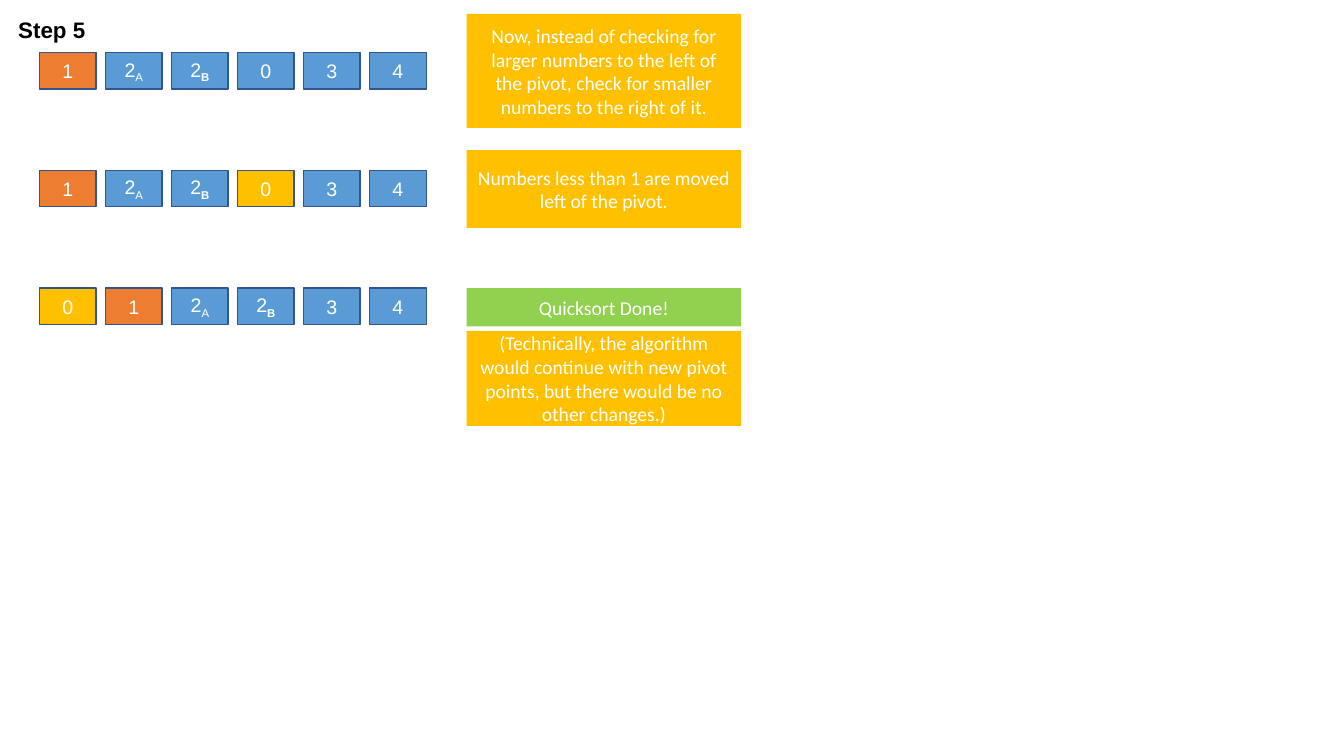
import dataclasses

import pptx
import pptx.dml.color
import pptx.enum.shapes
import pptx.enum.text
import pptx.util

Pt = pptx.util.Pt


@dataclasses.dataclass(frozen=True)
class Theme:
    ink: str = "000000"
    light: str = "FFFFFF"
    number: str = "5B9BD5"
    pivot: str = "ED7D31"
    notice: str = "FFC000"
    done: str = "92D050"
    edge: str = "325491"
    heading_font: str = "Arial"
    note_font: str = "Calibri"
    heading_size: float = 16
    text_size: float = 14


def rgb(value):
    return pptx.dml.color.RGBColor.from_string(value)


def write(para, text, *, font, size, color, bold=False, subscript=False):
    span = para.add_run()
    span.text = text
    span.font.name = font
    span.font.size = Pt(size)
    span.font.bold = bold
    span.font.color.rgb = rgb(color)
    if subscript:
        span.font._element.set("baseline", "-25000")


class StepSlide:
    def __init__(self, deck, theme):
        self.theme = theme
        self.page = deck.slides.add_slide(deck.slide_layouts[5])

    def title(self, text, left, top, width, height):
        box = self.page.shapes.title
        box.left, box.top, box.width, box.height = map(Pt, (left, top, width, height))
        frame = box.text_frame
        frame.word_wrap = False
        frame.auto_size = pptx.enum.text.MSO_AUTO_SIZE.SHAPE_TO_FIT_TEXT
        frame.vertical_anchor = pptx.enum.text.MSO_ANCHOR.TOP
        para = frame.paragraphs[0]
        para.alignment = pptx.enum.text.PP_ALIGN.LEFT
        write(para, text, font=self.theme.heading_font, size=self.theme.heading_size,
              color=self.theme.ink, bold=True)

    def block(self, left, top, width, height, fill, edge=None):
        box = self.page.shapes.add_shape(
            pptx.enum.shapes.MSO_SHAPE.RECTANGLE, *map(Pt, (left, top, width, height)))
        box.shadow.inherit = False
        box.fill.solid()
        box.fill.fore_color.rgb = rgb(fill)
        if edge:
            box.line.color.rgb = rgb(edge)
            box.line.width = Pt(1)
        else:
            box.line.fill.background()
        frame = box.text_frame
        frame.word_wrap = True
        frame.vertical_anchor = pptx.enum.text.MSO_ANCHOR.MIDDLE
        para = frame.paragraphs[0]
        para.alignment = pptx.enum.text.PP_ALIGN.CENTER
        return para

    def cell(self, label, left, top, fill):
        style = dict(font=self.theme.heading_font, size=self.theme.text_size,
                     color=self.theme.light)
        para = self.block(left, top, 40.5, 26, fill, self.theme.edge)
        digit, tag = label[0], label[1:]
        write(para, digit, **style)
        if tag:
            write(para, tag, bold=tag == "B", subscript=True, **style)

    def row(self, labels, top, highlights):
        for column, label in enumerate(labels):
            fill = highlights.get(label, self.theme.number)
            self.cell(label, 28.2 + 47.15 * column, top, fill)

    def note(self, text, top, height, fill):
        para = self.block(333.4, top, 196, height, fill)
        write(para, text, font=self.theme.note_font, size=self.theme.text_size,
              color=self.theme.light)


def main():
    deck = pptx.Presentation()
    deck.slide_width, deck.slide_height = Pt(960), Pt(540)
    theme = Theme()
    slide = StepSlide(deck, theme)
    slide.title("Step 5", 5.8, 7.9, 63.4, 26.6)

    start = ["1", "2A", "2B", "0", "3", "4"]
    finish = ["0", "1", "2A", "2B", "3", "4"]
    pivot = {"1": theme.pivot}
    moving = {**pivot, "0": theme.notice}
    stages = [(start, pivot), (start, moving), (finish, moving)]
    for index, (labels, highlights) in enumerate(stages):
        slide.row(labels, 37.6 + 84.1 * index, highlights)

    notes = [
        ("Now, instead of checking for larger numbers to the left of the pivot, "
         "check for smaller numbers to the right of it.", 10, 81.4, theme.notice),
        ("Numbers less than 1 are moved left of the pivot.", 107.2, 55.6, theme.notice),
        ("Quicksort Done!", 205.9, 27.2, theme.done),
        ("(Technically, the algorithm would continue with new pivot points, "
         "but there would be no other changes.)", 236.4, 67.8, theme.notice),
    ]
    for text, top, height, fill in notes:
        slide.note(text, top, height, fill)

    deck.save("out.pptx")


if __name__ == "__main__":
    main()
